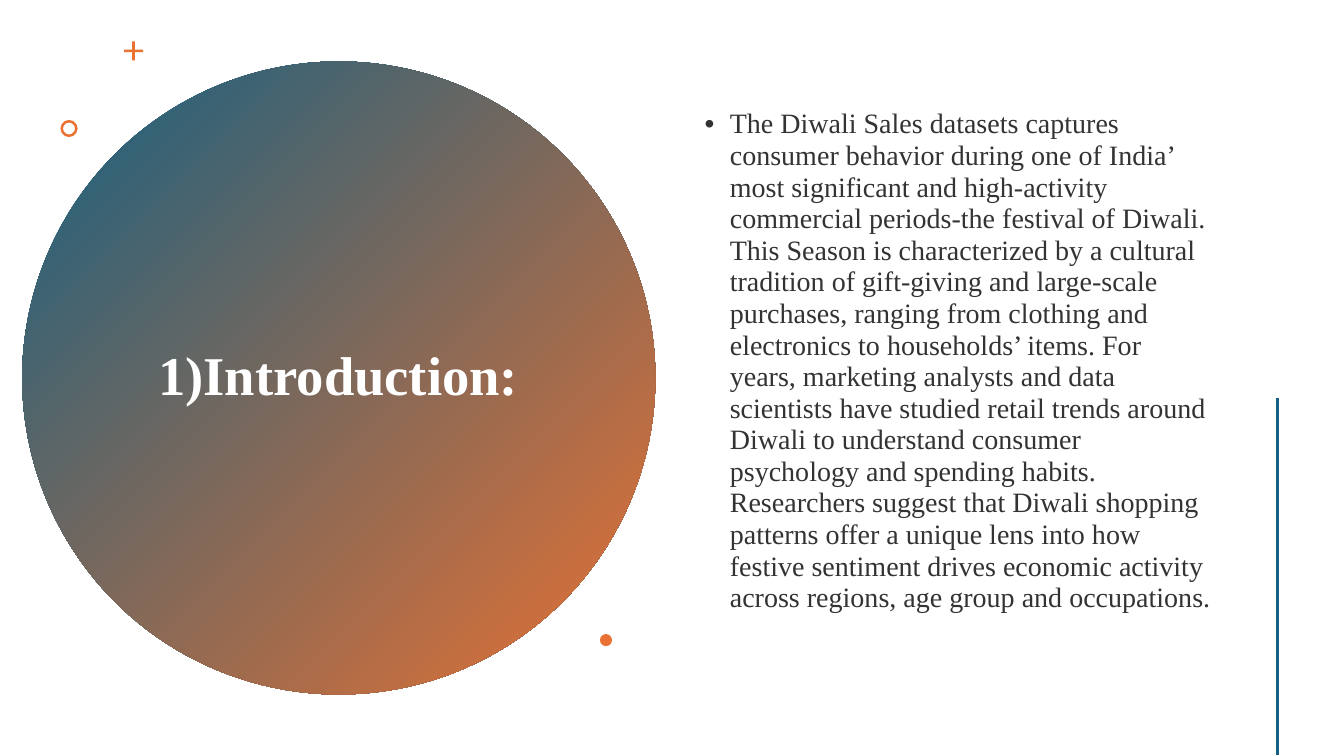
from lxml.etree import SubElement
from pptx import Presentation
from pptx.dml.color import RGBColor
from pptx.enum.shapes import MSO_CONNECTOR, MSO_SHAPE
from pptx.enum.text import MSO_ANCHOR, PP_ALIGN
from pptx.oxml.ns import qn
from pptx.util import Inches, Pt

# Content
TITLE = "1)Introduction:"
INTRODUCTION = (
    "The Diwali Sales datasets captures consumer behavior during one of India’ most "
    "significant and high-activity commercial periods-the festival of Diwali. This Season "
    "is characterized by a cultural tradition of gift-giving and large-scale purchases, "
    "ranging from clothing and electronics to households’ items. For years, marketing "
    "analysts and data scientists have studied retail trends around Diwali to understand "
    "consumer psychology and spending habits. Researchers suggest that Diwali shopping "
    "patterns offer a unique lens into how festive sentiment drives economic activity "
    "across regions, age group and occupations."
)

# Style
FONT = "Times New Roman"
BLUE = RGBColor(0x15, 0x60, 0x82)
ORANGE = RGBColor(0xE9, 0x71, 0x32)
WHITE = RGBColor(0xFF, 0xFF, 0xFF)
CHARCOAL = RGBColor(0x33, 0x33, 0x33)

# Accents: preset, left, top, size, adjustment
ACCENTS = [
    (MSO_SHAPE.CROSS, 1.23, 0.41, 0.19, 0.43),
    (MSO_SHAPE.DONUT, 0.6, 1.19, 0.17, 0.15),
    (MSO_SHAPE.OVAL, 5.95, 6.29, 0.12, None),
]

prs = Presentation()
prs.slide_width, prs.slide_height = Inches(13.33), Inches(7.5)
slide = prs.slides.add_slide(prs.slide_layouts[6])


def add_round(preset, left, top, size):
    shape = slide.shapes.add_shape(
        preset, Inches(left), Inches(top), Inches(size), Inches(size))
    shape.shadow.inherit = False
    shape.line.fill.background()
    return shape


def add_text(text, left, top, width, height, size, color, bold=False):
    box = slide.shapes.add_textbox(
        Inches(left), Inches(top), Inches(width), Inches(height))
    frame = box.text_frame
    frame.word_wrap = True
    frame.vertical_anchor = MSO_ANCHOR.MIDDLE
    paragraph = frame.paragraphs[0]
    paragraph.line_spacing = 0.9
    run = paragraph.add_run()
    run.text = text
    run.font.name, run.font.size, run.font.bold = FONT, Pt(size), bold
    run.font.color.rgb = color
    return frame, paragraph


# Gradient circle
circle = add_round(MSO_SHAPE.OVAL, 0.22, 0.61, 6.28)
circle.fill.gradient()
circle.fill.gradient_angle = 315
for stop, color, position in zip(circle.fill.gradient_stops, (BLUE, ORANGE), (0, 1)):
    stop.color.rgb = color
    stop.position = position

# Title
_, heading = add_text(TITLE, 1.36, 1.41, 3.99, 4.67, 39, WHITE, bold=True)
heading.alignment = PP_ALIGN.CENTER

# Small accents
for preset, left, top, size, adjustment in ACCENTS:
    accent = add_round(preset, left, top, size)
    accent.fill.solid()
    accent.fill.fore_color.rgb = ORANGE
    if adjustment is not None:
        accent.adjustments[0] = adjustment

# Introduction, set slightly above the middle
body, bullet = add_text(INTRODUCTION, 6.89, 0.57, 5.22, 6.38, 20, CHARCOAL)
body.margin_bottom = Inches(0.4)
bullet.line_spacing = 0.94
props = bullet._p.get_or_add_pPr()
props.set("marL", str(Inches(0.25)))
props.set("indent", str(-Inches(0.25)))
SubElement(props, qn("a:buFont"), typeface="Arial")
SubElement(props, qn("a:buChar"), char="•")

# Vertical rule
rule = slide.shapes.add_connector(
    MSO_CONNECTOR.STRAIGHT, Inches(12.67), Inches(3.95), Inches(12.67), Inches(7.49))
rule.line.color.rgb = BLUE
rule.line.width = Pt(2)
SubElement(rule._element.spPr, qn("a:effectLst"))

prs.save("out.pptx")
